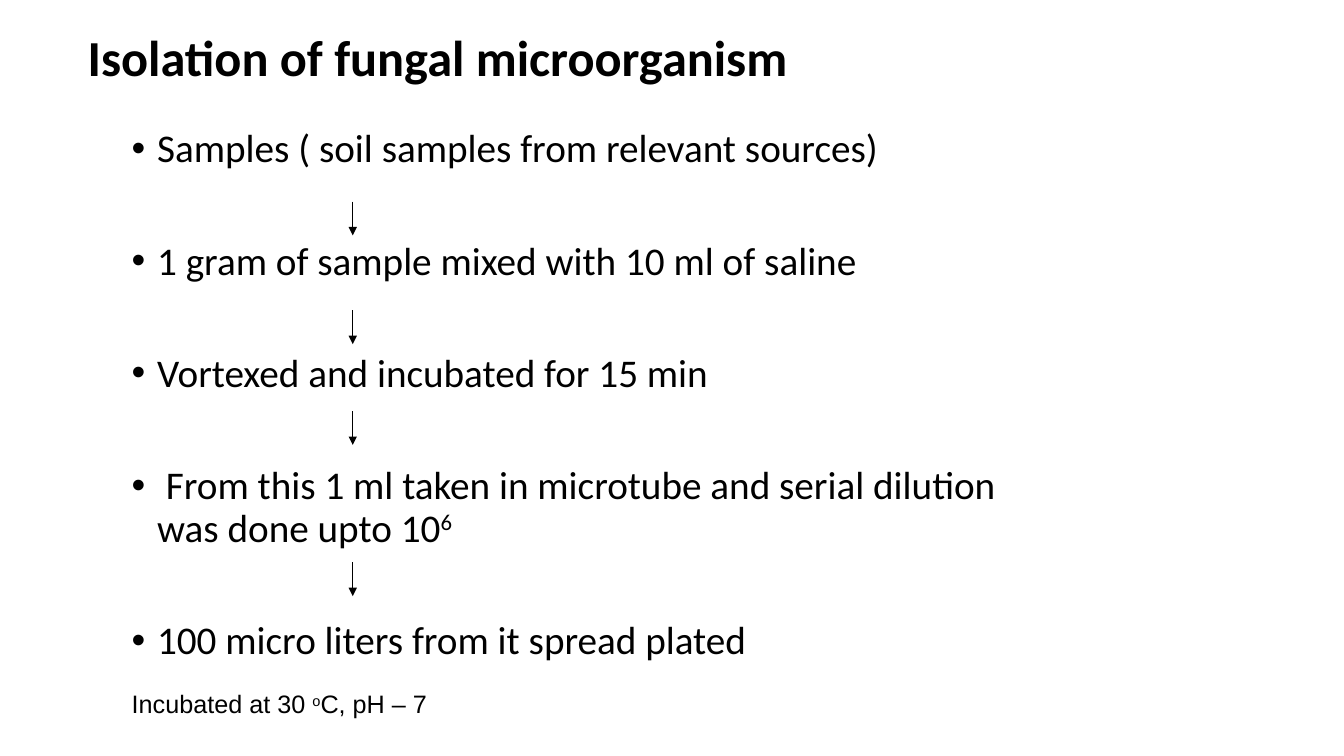
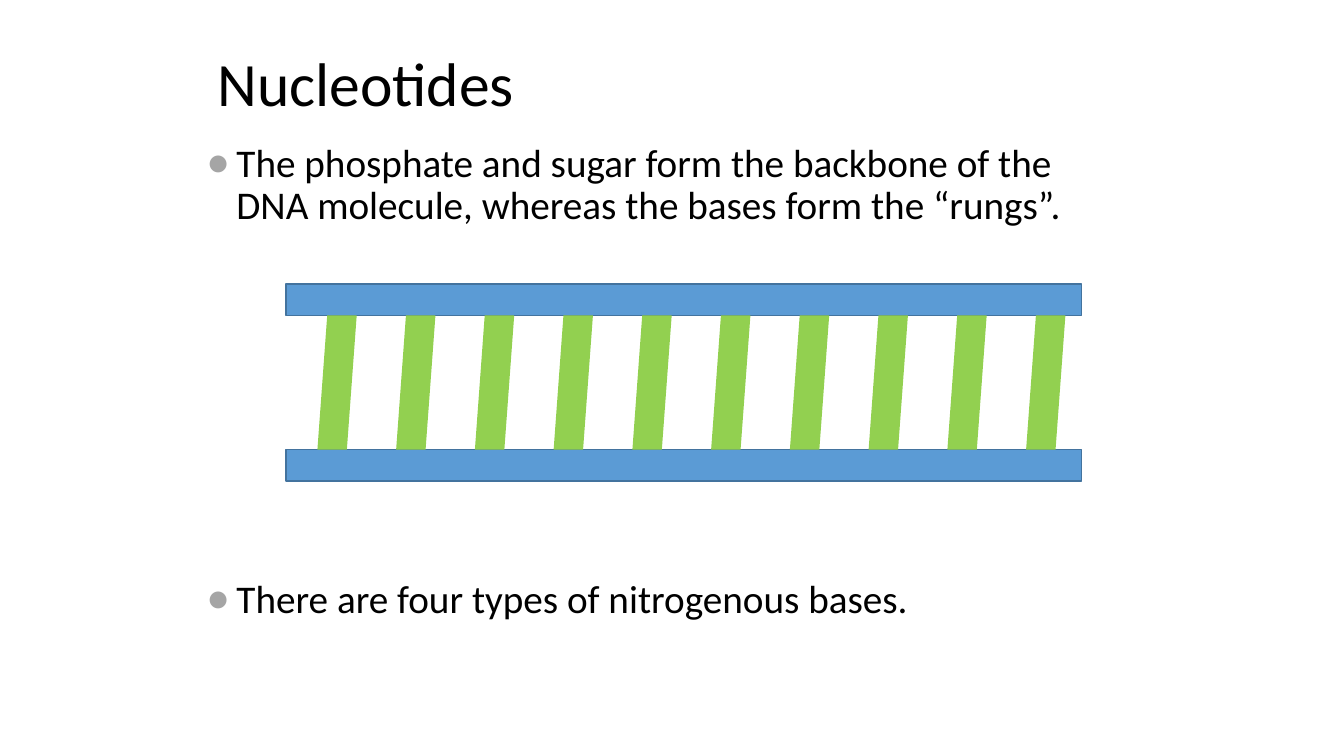
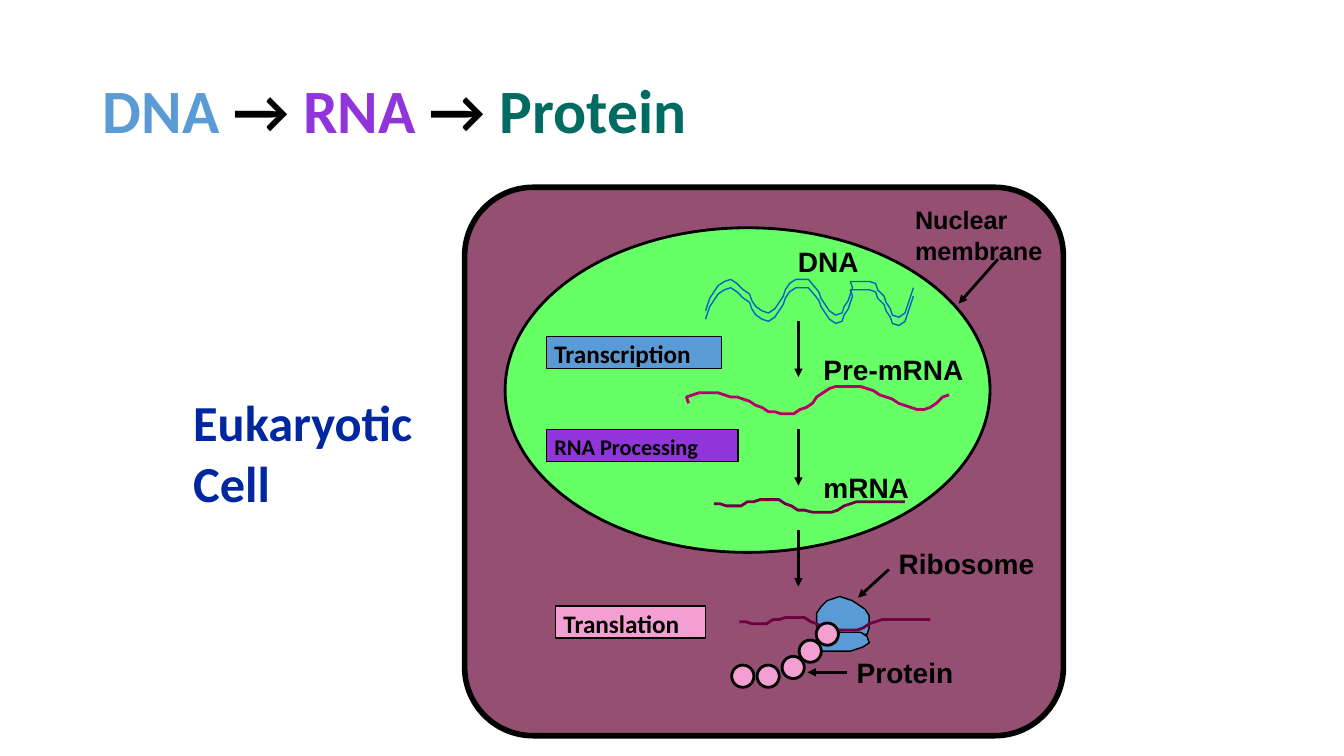
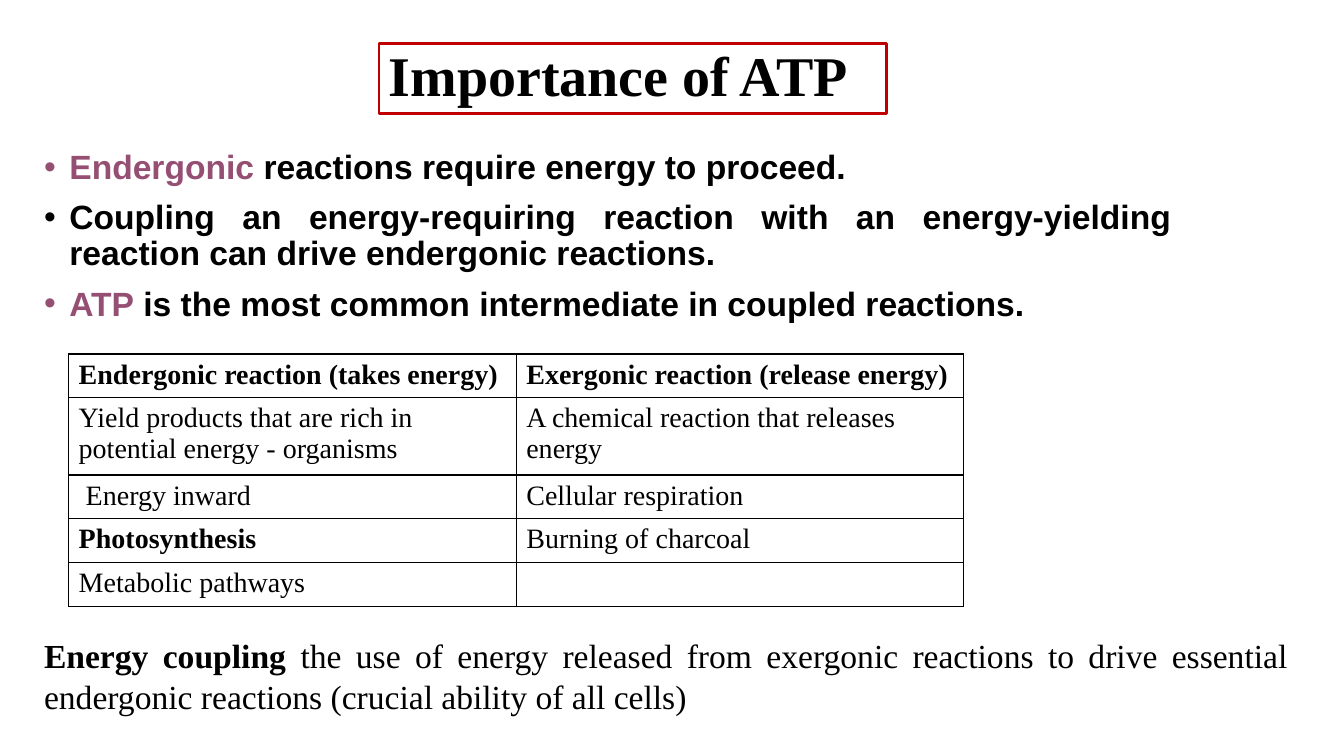
from collections import namedtuple

from lxml import etree
from pptx import Presentation
from pptx.dml.color import RGBColor
from pptx.enum.shapes import MSO_CONNECTOR, MSO_SHAPE
from pptx.enum.text import MSO_ANCHOR, PP_ALIGN
from pptx.oxml.ns import qn
from pptx.util import Cm, Pt

RECTANGLE = MSO_SHAPE.RECTANGLE
ROUNDED = MSO_SHAPE.ROUNDED_RECTANGLE
OVAL = MSO_SHAPE.OVAL
PARALLELOGRAM = MSO_SHAPE.PARALLELOGRAM
STRAIGHT = MSO_CONNECTOR.STRAIGHT
TOP, MIDDLE = MSO_ANCHOR.TOP, MSO_ANCHOR.MIDDLE
LEFT, JUSTIFY = PP_ALIGN.LEFT, PP_ALIGN.JUSTIFY

SANS, LABEL, SERIF = "Calibri", "Arial", "Times New Roman"
BLACK, BLUE, GREEN = "000000", "5B9BD5", "92D050"
RAIL_EDGE, BULLET_GREY, RED = "43739E", "A5A5A5", "C00000"
PLUM, PURPLE, TEAL, NAVY = "954F72", "9234DB", "006B61", "00279F"
NUCLEUS, PINK, STRAND = "66FF66", "F39FD1", "0563C1"
PRE_MRNA, MRNA = "B50069", "6E0043"
INSETS = (0.25, 0.13, 0.25, 0.13)

# Outlines are drawn on a grid of 48 units to the inch
GRID = Cm(2.54 / 48)
DNA_PATH = [
    (0, 15), (2, 9), (6, 3), (9, 1), (12, 0), (15, 2), (18, 5), (21, 7),
    (22, 10), (24, 13), (27, 15), (30, 16), (33, 14), (37, 8), (38, 5),
    (40, 2), (43, 0), (49, 0), (54, 6), (55, 9), (59, 15), (62, 17),
    (65, 16), (66, 13), (68, 10), (70, 4), (69, 1), (78, 1), (81, 2),
    (82, 5), (85, 8), (86, 11), (88, 14), (89, 17), (92, 18), (95, 16),
    (99, 4)]
PRE_MRNA_PATH = [
    (1, 8), (0, 5), (6, 3), (15, 3), (21, 5), (24, 5), (30, 7), (33, 9),
    (36, 10), (39, 12), (42, 12), (45, 13), (51, 13), (54, 11), (57, 10),
    (60, 8), (62, 5), (65, 3), (68, 1), (71, 0), (83, 0), (89, 2), (92, 4),
    (98, 6), (101, 8), (110, 11), (113, 11), (116, 10), (119, 8), (122, 5),
    (125, 4)]
MRNA_PATH = [
    (0, 2), (3, 2), (6, 3), (13, 3), (16, 1), (19, 1), (22, 0), (31, 0),
    (34, 2), (37, 3), (40, 5), (43, 5), (47, 6), (56, 6), (59, 5), (62, 3),
    (68, 1), (91, 1)]
LARGE_SUBUNIT = [
    (3, 16), (6, 18), (24, 18), (25, 15), (25, 9), (23, 6), (17, 2),
    (11, 0), (5, 2), (2, 5), (0, 8), (0, 14), (1, 17), (4, 18), (7, 18)]
SMALL_SUBUNIT = [
    (4, 0), (7, 1), (22, 1), (25, 3), (26, 6), (23, 8), (17, 10), (2, 10),
    (0, 7), (1, 4), (4, 2)]

Box = namedtuple("Box", "left top width height")


def inside(box, left, top, width=0, height=0):
    """Box measured from the top left corner of another box."""
    return Box(box.left + left, box.top + top, width, height)


def lengths(box):
    return [Cm(value) for value in box]


def color(value):
    return RGBColor.from_string(value)


def style(shape, fill=None, line=None, weight=1):
    shape.shadow.inherit = False
    if fill:
        shape.fill.solid()
        shape.fill.fore_color.rgb = color(fill)
    else:
        shape.fill.background()
    if line:
        shape.line.color.rgb = color(line)
        shape.line.width = Pt(weight)
    else:
        shape.line.fill.background()


def add_bullet(paragraph, symbol, indent, tint):
    properties = paragraph._p.get_or_add_pPr()
    properties.set("marL", str(Cm(indent)))
    properties.set("indent", str(-Cm(indent)))
    if tint:
        holder = etree.SubElement(properties, qn("a:buClr"))
        etree.SubElement(holder, qn("a:srgbClr"), val=tint)
    etree.SubElement(properties, qn("a:buFont"), typeface=LABEL)
    etree.SubElement(properties, qn("a:buChar"), char=symbol)


def write(frame, paragraphs, size=18, font=SANS, tint=BLACK, bold=False,
          align=LEFT, spacing=None, before=0, bullet=None, indent=0.64,
          bullet_tint=None, anchor=TOP, insets=INSETS):
    """Each paragraph is a string or a list of (text, overrides) runs."""
    frame.word_wrap = True
    frame.vertical_anchor = anchor
    (frame.margin_left, frame.margin_top,
     frame.margin_right, frame.margin_bottom) = lengths(insets)
    for index, content in enumerate(paragraphs):
        paragraph = frame.add_paragraph() if index else frame.paragraphs[0]
        if bullet:
            add_bullet(paragraph, bullet, indent, bullet_tint)
        paragraph.alignment = align
        if spacing:
            paragraph.line_spacing = spacing
        if index and before:
            paragraph.space_before = Pt(before)
        runs = [(content, {})] if isinstance(content, str) else content
        for text, changes in runs:
            run = paragraph.add_run()
            run.text = text
            run.font.name = font
            run.font.size = Pt(size)
            run.font.bold = changes.get("bold", bold)
            run.font.color.rgb = color(changes.get("tint", tint))
            if changes.get("raised"):
                run._r.get_or_add_rPr().set("baseline", "30000")


def add_text(slide, box, paragraphs, **options):
    write(slide.shapes.add_textbox(*lengths(box)).text_frame,
          paragraphs, **options)


def add_title(slide, box, content, size=44, **options):
    add_text(slide, box, [content], size=size, spacing=0.9, **options)


def add_block(slide, kind, box, **look):
    shape = slide.shapes.add_shape(kind, *lengths(box))
    style(shape, **look)
    return shape


def add_outline(slide, box, points, close=False, **look):
    builder = slide.shapes.build_freeform(*points[0], scale=GRID)
    builder.add_line_segments(points[1:], close=close)
    style(builder.convert_to_shape(Cm(box.left), Cm(box.top)), **look)


def add_arrow(slide, start, end, weight=2):
    connector = slide.shapes.add_connector(
        STRAIGHT, *lengths((start.left, start.top, end.left, end.top)))
    connector.line.color.rgb = color(BLACK)
    connector.line.width = Pt(weight)
    etree.SubElement(connector.line._get_or_add_ln(), qn("a:tailEnd"),
                     type="triangle")
    etree.SubElement(connector._element.spPr, qn("a:effectLst"))


# Slide 1: protocol steps
def add_protocol(slide, box):
    add_text(slide, box, [
        "Samples ( soil samples from relevant sources)",
        "1 gram of sample mixed with 10 ml of saline",
        "Vortexed and incubated for 15 min",
        [(" From this 1 ml taken in microtube and serial dilution "
          "was done upto 10", {}), ("6", {"raised": True})],
        "100 micro liters from it spread plated",
    ], size=28, spacing=0.9, before=50, bullet="•")
    for top in (1.96, 4.7, 7.24, 11.05):
        add_arrow(slide, inside(box, 5.82, top), inside(box, 5.82, top + 0.85),
                  weight=0.75)
    add_text(slide, inside(box, 0, 14.1, 10, 1.02), [
        [("Incubated at 30 ", {}), ("o", {"raised": True}),
         ("C, pH – 7", {})]], font=LABEL, anchor=MIDDLE)


def build_isolation(slide):
    add_protocol(slide, Box(3.07, 3.12, 22.86, 14.5))
    add_title(slide, Box(1.96, 0.71, 22, 1.65),
              "Isolation of fungal microorganism", size=36, bold=True)


# Slide 2: ladder of backbones and rungs
def add_ladder(slide, box, count=10):
    rail, rung, first, last = 0.79, 0.99, 0.79, 0.4
    for top in (0, box.height - rail):
        add_block(slide, RECTANGLE, inside(box, 0, top, box.width, rail),
                  fill=BLUE, line=RAIL_EDGE)
    pitch = (box.width - first - last - rung) / (count - 1)
    for index in range(count):
        add_block(slide, PARALLELOGRAM,
                  inside(box, first + index * pitch, rail, rung,
                         box.height - 2 * rail), fill=GREEN)


def build_nucleotides(slide):
    add_title(slide, Box(5.23, 0.58, 22.86, 3.18), "Nucleotides",
              anchor=MIDDLE)
    add_text(slide, Box(4.95, 3.48, 23.42, 13.69), [
        "The phosphate and sugar form the backbone of the DNA molecule, "
        "whereas the bases form the “rungs”.",
        "There are four types of nitrogenous bases.",
    ], size=28, spacing=0.9, before=251, bullet="●", indent=0.76,
        bullet_tint=BULLET_GREY)
    add_ladder(slide, Box(7.21, 7.16, 20.04, 4.96))


# Slide 3: cell diagram
def add_cell(slide, box):
    cell = add_block(slide, ROUNDED, box, fill=PLUM, line=BLACK, weight=4)
    cell.adjustments[0] = 0.125
    add_block(slide, OVAL, inside(box, 1.02, 1.02, 12.22, 8.18),
              fill=NUCLEUS, line=BLACK, weight=2)

    # Process tags
    for name, left, top, width, size, fill in (
            ("Transcription", 2.06, 3.76, 4.42, 18, BLUE),
            ("RNA Processing", 2.06, 6.1, 4.83, 16, PURPLE),
            ("Translation", 2.29, 10.55, 3.78, 18, PINK)):
        tag = add_block(slide, RECTANGLE, inside(box, left, top, width, 0.81),
                        fill=fill, line=BLACK)
        write(tag.text_frame, [name], size=size, bold=True, anchor=MIDDLE,
              insets=(0.2, 0.05, 0, 0))

    # Strands and ribosome
    for left, top, points, tint, weight in (
            (6.07, 2.32, DNA_PATH, STRAND, 1),
            (6.07, 2.53, DNA_PATH, STRAND, 1),
            (5.59, 5.02, PRE_MRNA_PATH, PRE_MRNA, 2),
            (6.28, 7.87, MRNA_PATH, MRNA, 2)):
        add_outline(slide, inside(box, left, top), points,
                    line=tint, weight=weight)
    for left, top, points in ((8.87, 10.31, LARGE_SUBUNIT),
                              (8.82, 11.16, SMALL_SUBUNIT)):
        add_outline(slide, inside(box, left, top), points, close=True,
                    fill=BLUE, line=BLACK)
    add_outline(slide, inside(box, 6.92, 10.84), MRNA_PATH,
                line=MRNA, weight=2)

    # Protein chain
    for left, top in ((6.73, 12.04), (7.37, 12.04), (8, 11.82),
                      (8.43, 11.41), (8.86, 10.98)):
        add_block(slide, OVAL, inside(box, left, top, 0.56, 0.56),
                  fill=PINK, line=BLACK, weight=2)

    # Labels
    for lines, left, top, size in (
            (["Nuclear", "membrane"], 11.1, 0.31, 18),
            (["DNA"], 8.15, 1.3, 20),
            (["Pre-mRNA"], 8.79, 4.04, 20),
            (["mRNA"], 8.79, 7.01, 20),
            (["Ribosome"], 10.69, 8.92, 20),
            (["Protein"], 9.63, 11.66, 20)):
        add_text(slide, inside(box, left, top, 4.5, 1.09 * len(lines)), lines,
                 size=size, font=LABEL, bold=True)

    # Arrows
    steps = [(8.41, top, 8.41, top + 1.42) for top in (3.36, 6.1, 8.64)]
    pointers = [(13.44, 1.81, 12.45, 2.93), (9.63, 12.22, 8.64, 12.22),
                (10.69, 9.63, 9.91, 10.34)]
    for left, top, end_left, end_top in steps + pointers:
        add_arrow(slide, inside(box, left, top),
                  inside(box, end_left, end_top))


def build_expression(slide):
    add_title(slide, Box(2.34, 1.02, 29.21, 3.68), [
        ("DNA ", {"tint": BLUE}), ("→ ", {}), ("RNA ", {"tint": PURPLE}),
        ("→ ", {}), ("Protein", {"tint": TEAL})], bold=True, anchor=MIDDLE)
    add_cell(slide, Box(11.71, 4.72, 15.09, 13.82))
    add_text(slide, Box(4.62, 9.73, 7, 3.3), ["Eukaryotic Cell"], size=36,
             tint=NAVY, bold=True)


# Slide 4: reactions table
def add_borders(cell):
    properties = cell._tc.get_or_add_tcPr()
    for index, side in enumerate(("lnL", "lnR", "lnT", "lnB")):
        border = etree.Element(qn("a:" + side), w=str(Pt(1)))
        fill = etree.SubElement(border, qn("a:solidFill"))
        etree.SubElement(fill, qn("a:srgbClr"), val=BLACK)
        properties.insert(index, border)


def add_reactions(slide, box):
    rows = [
        ("Endergonic reaction (takes energy)",
         "Exergonic reaction (release energy)"),
        ("Yield products that are rich in potential energy - organisms",
         "A chemical reaction that releases energy"),
        (" Energy inward", "Cellular respiration"),
        ("Photosynthesis", "Burning of charcoal"),
        ("Metabolic pathways", ""),
    ]
    table = slide.shapes.add_table(len(rows), 2, *lengths(box)).table
    table.first_row = table.horz_banding = False
    for column in table.columns:
        column.width = Cm(box.width / 2)
    for index, texts in enumerate(rows):
        table.rows[index].height = Cm(1.83 if index == 1 else 1.03)
        for cell, text in zip(table.rows[index].cells, texts):
            cell.fill.background()
            add_borders(cell)
            write(cell.text_frame, [text], size=20, font=SERIF,
                  bold=index == 0 or text == "Photosynthesis",
                  insets=(0.25, 0.1, 0.25, 0.1))


def build_energy(slide):
    add_text(slide, Box(0.86, 3.66, 28.91, 6.17), [
        [("Endergonic", {"tint": PLUM}),
         (" reactions require energy to proceed.", {})],
        "Coupling an energy-requiring reaction with an energy-yielding "
        "reaction can drive endergonic reactions.",
        [("ATP", {"tint": PLUM}),
         (" is the most common intermediate in coupled reactions.", {})],
    ], size=24, font=LABEL, bold=True, align=JUSTIFY, spacing=0.9,
        before=10, bullet="•")
    frame = add_block(slide, RECTANGLE, Box(9.55, 1.09, 12.8, 1.78),
                      line=RED, weight=2)
    write(frame.text_frame, ["Importance of ATP"], size=40, font=SERIF,
          bold=True, spacing=0.9, anchor=MIDDLE)
    add_reactions(slide, Box(1.73, 8.92, 22.56, 5.95))
    add_text(slide, Box(0.86, 15.88, 31.85, 2.31), [
        [("Energy coupling ", {"bold": True}),
         ("the use of energy released from exergonic reactions to drive "
          "essential endergonic reactions (crucial ability of all cells)",
          {})]], size=24, font=SERIF, align=JUSTIFY)


def main():
    presentation = Presentation()
    presentation.slide_width = Cm(33.87)
    presentation.slide_height = Cm(19.05)
    blank = presentation.slide_layouts[6]
    for build in (build_isolation, build_nucleotides, build_expression,
                  build_energy):
        build(presentation.slides.add_slide(blank))
    presentation.save("out.pptx")


if __name__ == "__main__":
    main()
